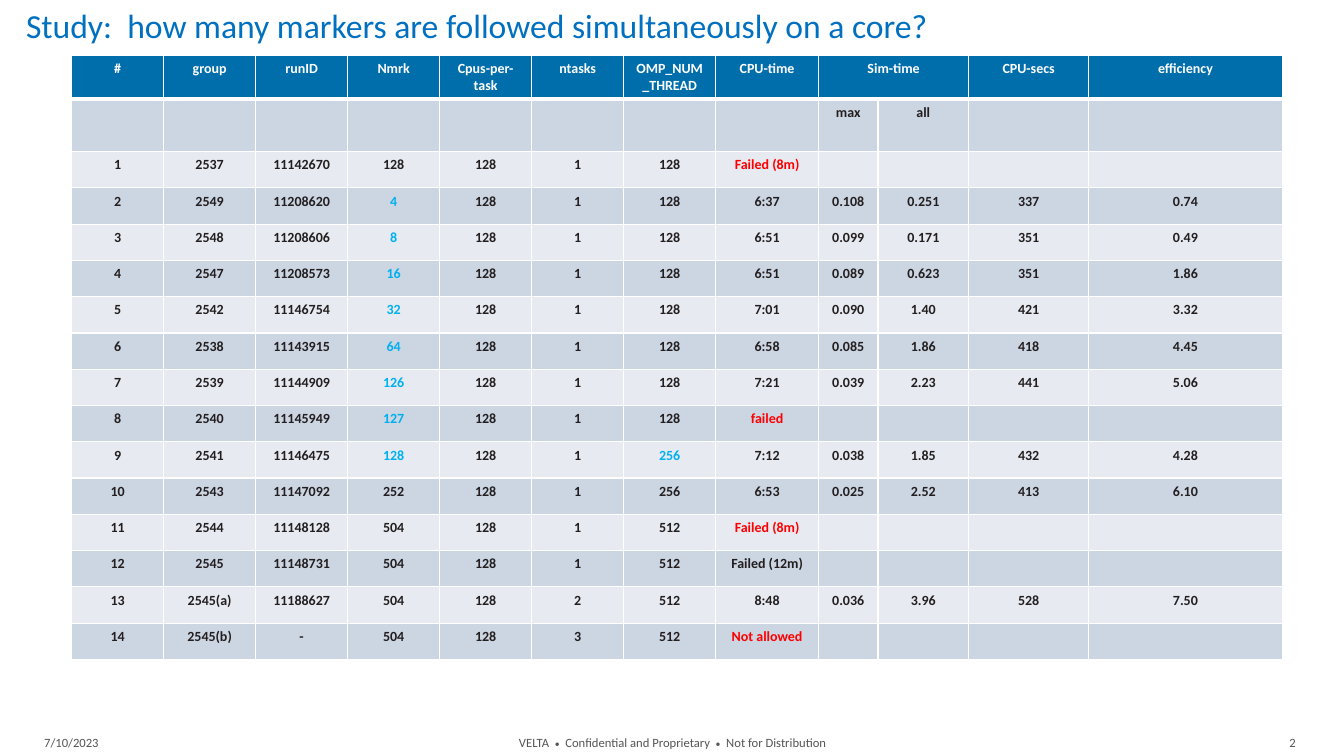
from dataclasses import dataclass

from lxml.etree import SubElement
from pptx import Presentation
from pptx.dml.color import RGBColor
from pptx.enum.text import MSO_ANCHOR, PP_ALIGN
from pptx.oxml.ns import qn
from pptx.util import Inches, Pt


@dataclass(frozen=True)
class Theme:
    font: str = "Calibri"
    title: str = "0070C0"
    footer: str = "555556"
    header: str = "006EAB"
    white: str = "FFFFFF"
    bands: tuple = ("CCD5E2", "E7EBF1")
    text: str = "231F20"
    varied: str = "00B0F0"
    failed: str = "FF0000"
    title_size: int = 24
    table_size: int = 10
    footer_size: int = 9
    bullet_size: int = 7


theme = Theme()


def style(font, size, color, bold=False):
    font.name = theme.font
    font.size = Pt(size)
    font.bold = bold
    font.color.rgb = RGBColor.from_string(color)


def add_text(left, top, width, height, alignment=PP_ALIGN.LEFT):
    frame = slide.shapes.add_textbox(
        Inches(left), Inches(top), Inches(width), Inches(height)).text_frame
    frame.word_wrap = True
    paragraph = frame.paragraphs[0]
    paragraph.alignment = alignment
    return frame, paragraph


presentation = Presentation()
presentation.slide_width = Inches(13.33)
presentation.slide_height = Inches(7.5)
slide = presentation.slides.add_slide(presentation.slide_layouts[6])

# Footer: date, page number and notice
dot = "•"
footers = [
    (0.34, 4.72, PP_ALIGN.LEFT, ["7/10/2023"]),
    (11.04, 1.91, PP_ALIGN.RIGHT, ["2"]),
    (4.31, 4.72, PP_ALIGN.CENTER,
     ["VELTA  ", dot, "  Confidential and Proprietary  ", dot, "  Not for Distribution"]),
]
for left, width, alignment, pieces in footers:
    frame, paragraph = add_text(left, 7.22, width, 0.29, alignment)
    frame.vertical_anchor = MSO_ANCHOR.MIDDLE
    frame.margin_top = frame.margin_bottom = 0
    for piece in pieces:
        run = paragraph.add_run()
        run.text = piece
        size = theme.bullet_size if piece == dot else theme.footer_size
        style(run.font, size, theme.footer)

# Table contents, one line per run
header = ["#", "group", "runID", "Nmrk", "Cpus-per-task", "ntasks", "OMP_NUM_THREAD",
          "CPU-time", "Sim-time", "", "CPU-secs", "efficiency"]
subheader = [""] * 8 + ["max", "all", "", ""]
runs = """
1|2537|11142670|128|128|1|128|Failed (8m)||||
2|2549|11208620|4|128|1|128|6:37|0.108|0.251|337|0.74
3|2548|11208606|8|128|1|128|6:51|0.099|0.171|351|0.49
4|2547|11208573|16|128|1|128|6:51|0.089|0.623|351|1.86
5|2542|11146754|32|128|1|128|7:01|0.090|1.40|421|3.32
6|2538|11143915|64|128|1|128|6:58|0.085|1.86|418|4.45
7|2539|11144909|126|128|1|128|7:21|0.039|2.23|441|5.06
8|2540|11145949|127|128|1|128|failed||||
9|2541|11146475|128|128|1|256|7:12|0.038|1.85|432|4.28
10|2543|11147092|252|128|1|256|6:53|0.025|2.52|413|6.10
11|2544|11148128|504|128|1|512|Failed (8m)||||
12|2545|11148731|504|128|1|512|Failed (12m)||||
13|2545(a)|11188627|504|128|2|512|8:48|0.036|3.96|528|7.50
14|2545(b)|-|504|128|3|512|Not allowed||||
"""
rows = [header, subheader] + [line.split("|") for line in runs.strip().splitlines()]
column_widths = [6.39 / 7] * 7 + [1.02, 0.59, 0.9, 1.19, 1.92]
row_heights = [0.39, 0.52] + [0.36] * 14

# Cells with their own colour: (row, column)
highlights = {(row, 3): theme.varied for row in range(3, 11)}
highlights[10, 6] = theme.varied
highlights.update({(row, 7): theme.failed for row in (2, 9, 12, 15)})

# Table
table = slide.shapes.add_table(
    len(rows), len(header), Inches(0.71), Inches(0.55), Inches(12.01), Inches(5.99)).table
for column, width in zip(table.columns, column_widths):
    column.width = Inches(width)
for table_row, height in zip(table.rows, row_heights):
    table_row.height = Inches(height)
table.cell(0, 8).merge(table.cell(0, 9))

for row, values in enumerate(rows):
    for column, value in enumerate(values):
        cell = table.cell(row, column)
        color = theme.white if row == 0 else highlights.get((row, column), theme.text)
        paragraph = cell.text_frame.paragraphs[0]
        paragraph.alignment = PP_ALIGN.CENTER
        if value:
            paragraph.text = value
            style(paragraph.font, theme.table_size, color, bold=True)
        else:
            # Keeps empty cells from stretching the row
            SubElement(paragraph._p, qn("a:endParaRPr"), sz=str(theme.table_size * 100))

        # White borders, thicker below the header; they precede the fill
        properties = cell._tc.get_or_add_tcPr()
        for side in ("L", "R", "T", "B"):
            thick = (row, side) in ((0, "B"), (1, "T"))
            border = SubElement(properties, qn(f"a:ln{side}"), w=str(Pt(3 if thick else 1)))
            border_fill = SubElement(border, qn("a:solidFill"))
            SubElement(border_fill, qn("a:srgbClr"), val=theme.white)
        fill = theme.header if row == 0 else theme.bands[(row - 1) % 2]
        cell.fill.solid()
        cell.fill.fore_color.rgb = RGBColor.from_string(fill)

# Title
frame, paragraph = add_text(0.16, 0, 9.6, 0.5)
paragraph.text = "Study:  how many markers are followed simultaneously on a core?"
style(paragraph.font, theme.title_size, theme.title)

presentation.save("out.pptx")
